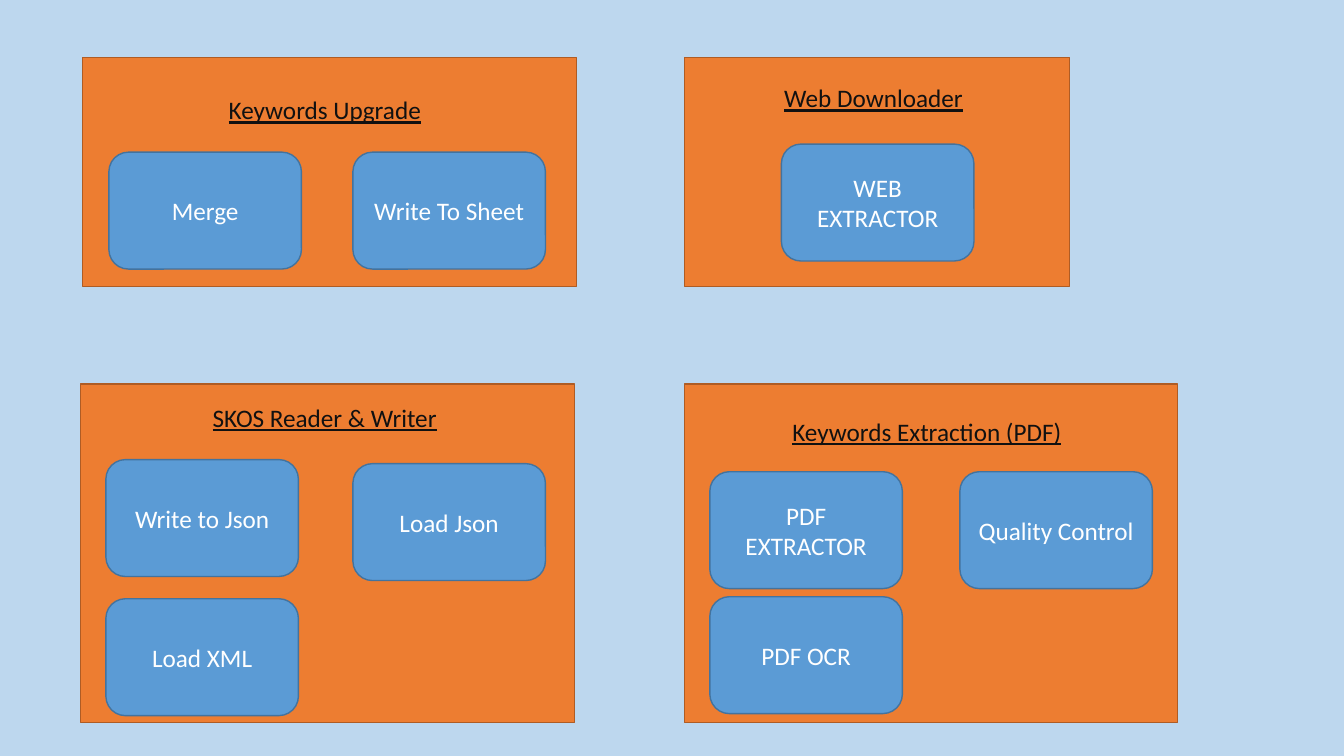
from pptx import Presentation
from pptx.dml.color import RGBColor
from pptx.enum.shapes import MSO_SHAPE
from pptx.enum.text import MSO_ANCHOR, MSO_AUTO_SIZE, PP_ALIGN
from pptx.util import Inches, Pt

RECTANGLE = MSO_SHAPE.RECTANGLE
ROUNDED = MSO_SHAPE.ROUNDED_RECTANGLE
MIDDLE = MSO_ANCHOR.MIDDLE
GROW = MSO_AUTO_SIZE.SHAPE_TO_FIT_TEXT
LEFT = PP_ALIGN.LEFT
CENTER = PP_ALIGN.CENTER

COLUMNS, ROWS = 133.3, 75
CARD_WIDTH, CARD_HEIGHT = 19.1, 11.6
TITLE_HEIGHT = 4


def color(value):
    return RGBColor.from_string(value)


class Board:
    font = "Calibri"
    size = Pt(18)
    background = "BDD7EE"
    panel_colors = "ED7D31", "AF5C24"
    card_colors = "5B9BD5", "43739E"
    title_color = "111111"
    card_text = "FFFFFF"

    def __init__(self, deck):
        self.column = deck.slide_width / COLUMNS
        self.row = deck.slide_height / ROWS
        self.page = deck.slides.add_slide(deck.slide_layouts[6])
        fill = self.page.background.fill
        fill.solid()
        fill.fore_color.rgb = color(self.background)

    def place(self, left, top, width, height):
        return (round(left * self.column), round(top * self.row),
                round(width * self.column), round(height * self.row))

    def shape(self, kind, area, colors):
        box = self.page.shapes.add_shape(kind, *self.place(*area))
        fill, line = colors
        box.shadow.inherit = False
        box.fill.solid()
        box.fill.fore_color.rgb = color(fill)
        box.line.color.rgb = color(line)
        box.line.width = Pt(1)
        return box

    def label(self, box, text, ink, align, underline=False):
        para = box.text_frame.paragraphs[0]
        para.alignment = align
        span = para.add_run()
        span.text = text
        span.font.name = self.font
        span.font.size = self.size
        span.font.underline = underline
        span.font.color.rgb = color(ink)

    def panel(self, area):
        self.shape(RECTANGLE, area, self.panel_colors)

    def card(self, text, left, top):
        area = left, top, CARD_WIDTH, CARD_HEIGHT
        box = self.shape(ROUNDED, area, self.card_colors)
        box.text_frame.word_wrap = True
        box.text_frame.vertical_anchor = MIDDLE
        self.label(box, text, self.card_text, CENTER)

    def title(self, text, left, top, width):
        area = self.place(left, top, width, TITLE_HEIGHT)
        box = self.page.shapes.add_textbox(*area)
        box.text_frame.word_wrap = False
        box.text_frame.auto_size = GROW
        self.label(box, text, self.title_color, LEFT, underline=True)


MODULES = [
    ((8.2, 5.7, 49, 22.7), ("Keywords Upgrade", 13.5, 3.2, 21.3),
     [("Merge", 2.6, 9.4), ("Write To Sheet", 26.8, 9.4)]),
    ((67.9, 5.7, 38.2, 22.7), ("Web Downloader", 8.9, 2, 20),
     [("WEB EXTRACTOR", 9.6, 8.6)]),
    ((8, 38.1, 49, 33.6), ("SKOS Reader & Writer", 12.1, 1.3, 24.5),
     [("Write to Json", 2.5, 7.5), ("Load Json", 27, 7.9),
      ("Load XML", 2.5, 21.3)]),
    ((67.9, 38.1, 48.9, 33.6), ("Keywords Extraction (PDF)", 9.7, 2.7, 29),
     [("PDF EXTRACTOR", 2.5, 8.7), ("Quality Control", 27.3, 8.7),
      ("PDF OCR", 2.5, 21.1)]),
]

deck = Presentation()
deck.slide_width = Inches(13.33)
deck.slide_height = Inches(7.5)
board = Board(deck)
for area, (heading, indent, drop, width), cards in MODULES:
    left, top = area[:2]
    board.panel(area)
    board.title(heading, left + indent, top + drop, width)
    for text, across, down in cards:
        board.card(text, left + across, top + down)
deck.save("out.pptx")
